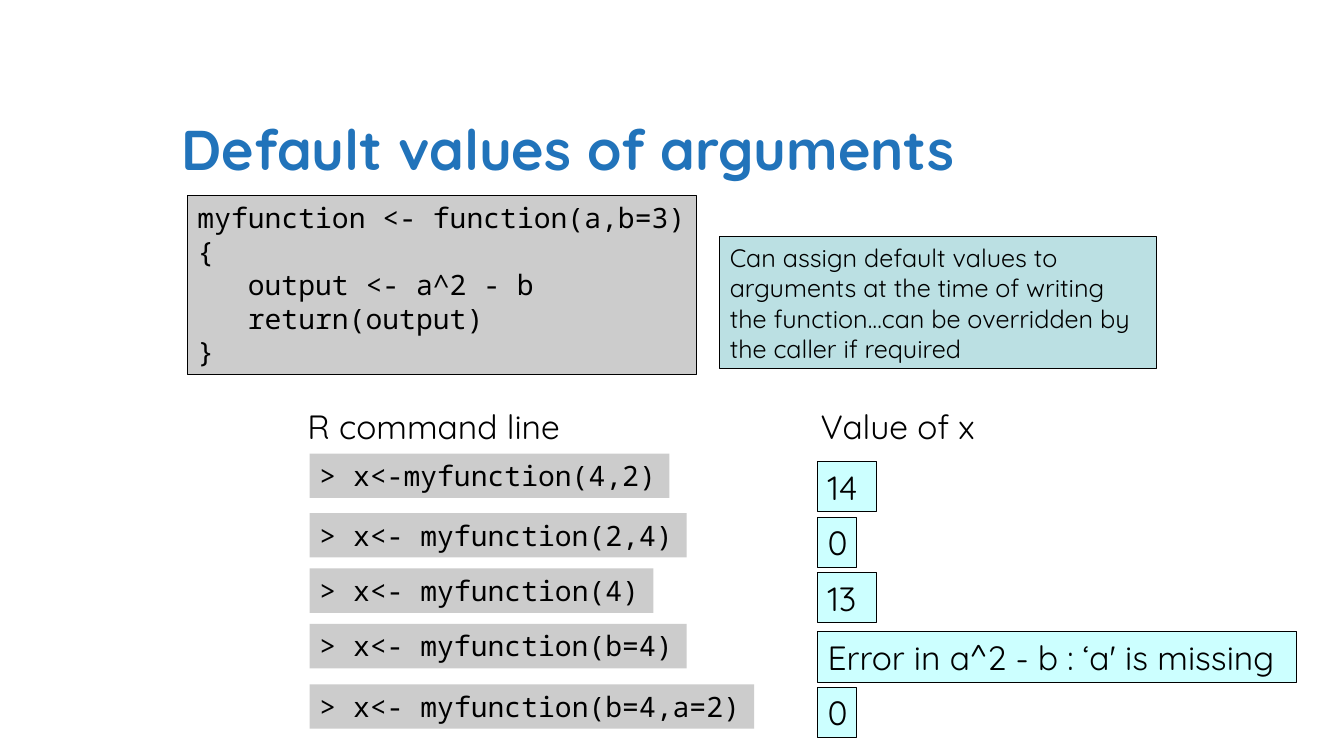
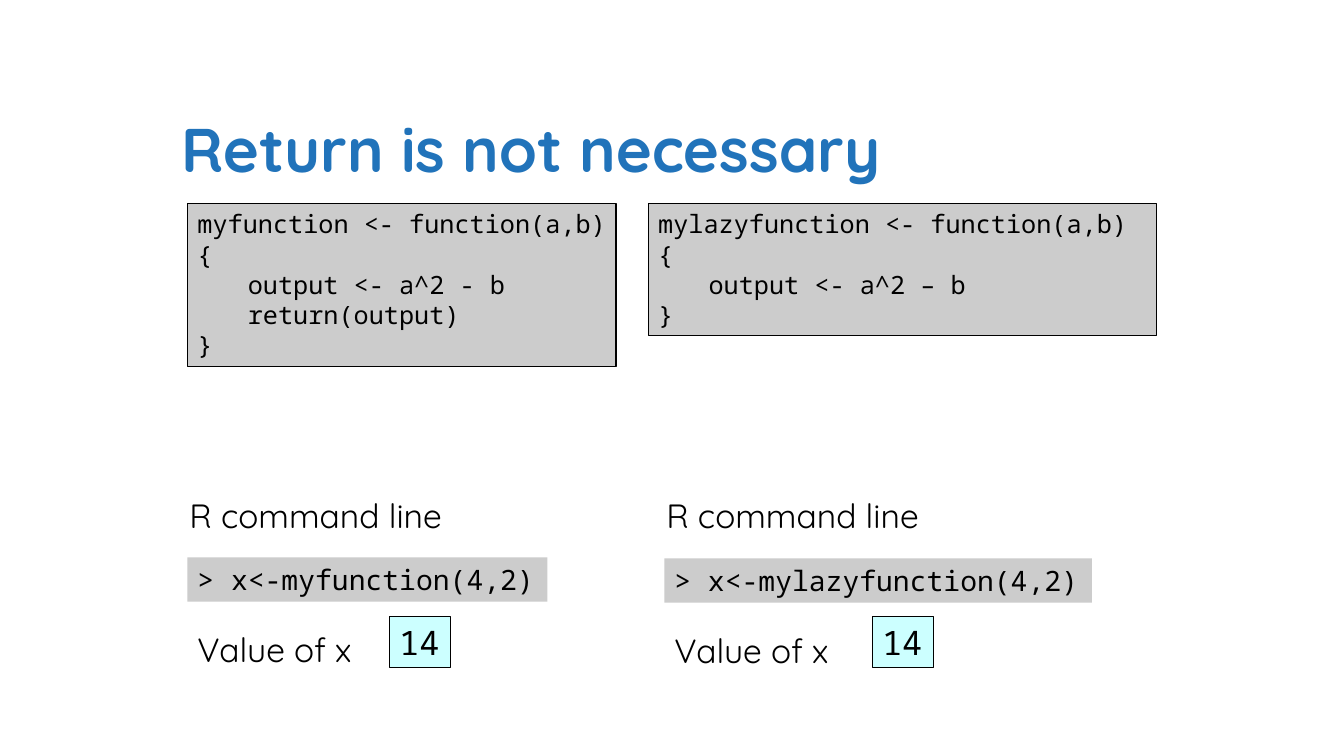
"""Build two slides on default arguments and return values in R functions."""
from dataclasses import dataclass

from pptx import Presentation
from pptx import util as u
from pptx.dml import color as col
from pptx.enum import shapes, text


@dataclass(frozen=True)
class Theme:
    """Colours, fonts and type sizes shared by the slides."""
    blue: str = "2173BA"
    black: str = "000000"
    grey: str = "CCCCCC"
    cyan: str = "CCFFFF"
    teal: str = "BBE0E3"
    sans: str = "Quicksand"
    mono: str = "Noto Sans Mono"
    note: int = 18
    code: int = 20
    label: int = 24
    edge: float = 0.75


T = Theme()
MID = text.MSO_ANCHOR.MIDDLE


def rgb(code):
    """Turn a hex code into a colour."""
    return col.RGBColor.from_string(code)


def write(shape, words, font, size, wrap=False, anchor=text.MSO_ANCHOR.TOP,
          ink=T.black, bold=False, grow=True):
    """Put left-aligned text into a shape and format its runs."""
    frame = shape.text_frame
    frame.text = words
    frame.word_wrap = wrap
    frame.vertical_anchor = anchor
    fit = text.MSO_AUTO_SIZE
    frame.auto_size = fit.SHAPE_TO_FIT_TEXT if grow else fit.NONE
    for para in frame.paragraphs:
        para.alignment = text.PP_ALIGN.LEFT
        for run in para.runs:
            run.font.name = font
            run.font.size = u.Pt(size)
            run.font.bold = bold
            run.font.color.rgb = rgb(ink)


def box(slide, at, fill, edge=True):
    """Add a plain filled rectangle, outlined if wanted."""
    shape = slide.shapes.add_shape(shapes.MSO_SHAPE.RECTANGLE, *map(u.Inches, at))
    shape.shadow.inherit = False
    shape.fill.solid()
    shape.fill.fore_color.rgb = rgb(fill)
    if edge:
        shape.line.color.rgb = rgb(T.black)
        shape.line.width = u.Pt(T.edge)
    else:
        shape.line.fill.background()
    return shape


def title(slide, words, size, width):
    """Add the slide title."""
    area = slide.shapes.add_textbox(*map(u.Inches, (1.7, 0.84, width, 1.25)))
    write(area, words, T.sans, size, wrap=True, anchor=MID, ink=T.blue,
          bold=True, grow=False)


def label(slide, words, left, top, width):
    """Add a heading without a frame."""
    area = slide.shapes.add_textbox(*map(u.Inches, (left, top, width, 0.5)))
    write(area, words, T.sans, T.label)


def prompt(slide, left, top):
    """Add the heading of the command column."""
    label(slide, "R command line", left, top, 2.89)


def result(slide, left, top):
    """Add the heading of the result column."""
    label(slide, "Value of x", left, top, 1.82)


def code(slide, lines, at, size):
    """Add a framed listing of code."""
    write(box(slide, at, T.grey), "\n".join(lines), T.mono, size, wrap=True)


def command(slide, words, left, top):
    """Add a command strip as wide as its monospaced text."""
    width = round(0.24 + len(words) / 6, 2)
    strip = box(slide, (left, top, width, 0.44), T.grey, edge=False)
    write(strip, words, T.mono, T.code)


def value(slide, words, left, top, width, font=T.sans):
    """Add a framed result."""
    write(box(slide, (left, top, width, 0.5), T.cyan), words, font, T.label)


def defaults(slide):
    """Fill the slide on default values."""
    title(slide, "Default values of arguments", 40, 8.5)
    code(slide, ("myfunction <- function(a,b=3)", "{", "\toutput <- a^2 - b",
                 "\treturn(output)", "}"), (1.86, 1.94, 5.05, 1.78), T.code)
    rows = (
        ("> x<-myfunction(4,2)", 4.5, "14", 4.58, 0.58),
        ("> x<- myfunction(2,4)", 5.09, "0", 5.13, 0.39),
        ("> x<- myfunction(4)", 5.64, "13", 5.68, 0.58),
        ("> x<- myfunction(b=4)", 6.19, "Error in a^2 - b : ‘a' is missing", 6.27, 4.75),
        ("> x<- myfunction(b=4,a=2)", 6.79, "0", 6.82, 0.39),
    )
    for call, top, answer, drop, width in rows:
        command(slide, call, 3.07, top)
        value(slide, answer, 8.11, drop, width)
    prompt(slide, 2.95, 3.98)
    result(slide, 8.04, 3.98)
    note = box(slide, (7.14, 2.35, 4.33, 1.31), T.teal)
    write(note, "Can assign default values to arguments at the time of writing "
          "the function…can be overridden by the caller if required",
          T.sans, T.note, wrap=True, anchor=MID)


def returns(slide):
    """Fill the slide on leaving out return."""
    title(slide, "Return is not necessary", 44, 9.61)
    code(slide, ("myfunction <- function(a,b)", "{", "\toutput <- a^2 - b",
                 "\treturn(output)", "}"), (1.86, 2.02, 4.25, 1.62), T.note)
    code(slide, ("mylazyfunction <- function(a,b)", "{", "\toutput <- a^2 – b",
                 "}"), (6.43, 2.02, 5.04, 1.31), T.note)
    sides = (("> x<-myfunction(4,2)", 1.86, 5.53, 3.86),
             ("> x<-mylazyfunction(4,2)", 6.59, 5.54, 8.65))
    for call, left, top, spot in sides:
        prompt(slide, left - 0.08, 4.86)
        command(slide, call, left, top)
        result(slide, left, top + 0.66)
        value(slide, "14", spot, 6.12, 0.61, T.mono)


def main():
    """Build and save the deck."""
    deck = Presentation()
    deck.slide_width = u.Inches(13.33)
    deck.slide_height = u.Inches(7.5)
    for fill in (defaults, returns):
        fill(deck.slides.add_slide(deck.slide_layouts[6]))
    deck.save("out.pptx")


if __name__ == "__main__":
    main()
